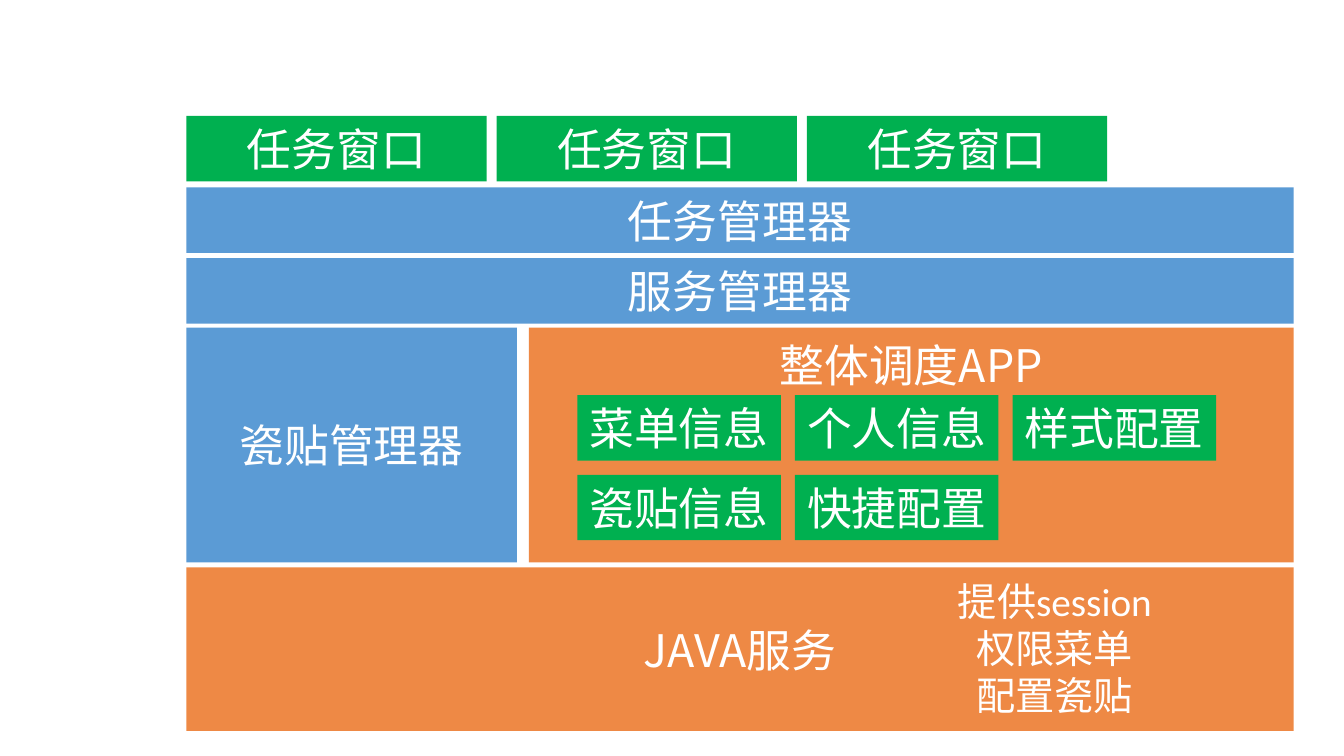
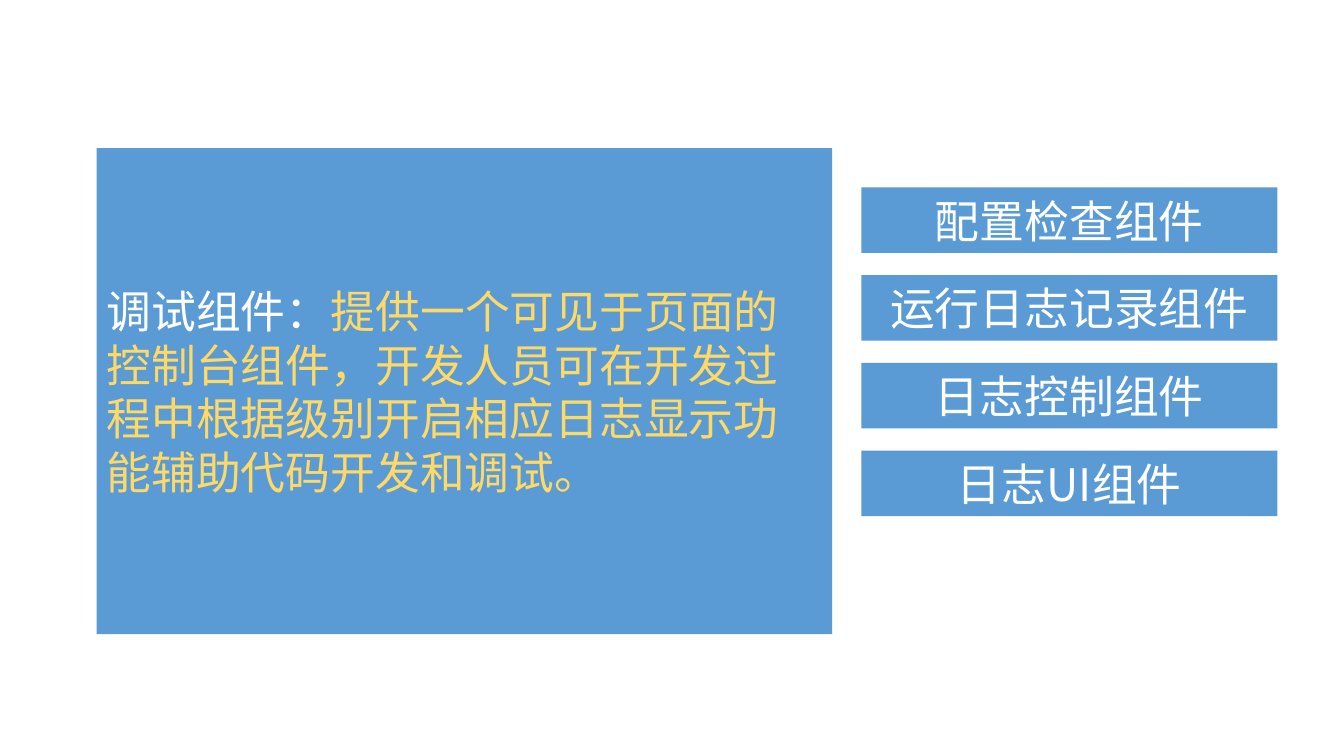
from lxml.etree import SubElement
from pptx import Presentation
from pptx.dml.color import RGBColor
from pptx.enum.shapes import MSO_SHAPE
from pptx.enum.text import MSO_ANCHOR, PP_ALIGN
from pptx.oxml.ns import qn
from pptx.util import Inches, Pt

# Shared style
BLUE, ORANGE, GREEN = "5B9BD5", "ED7D31", "00B050"
WHITE, YELLOW = "FFFFFF", "FFD966"
CJK_FONT, LATIN_FONT = "Noto Sans CJK SC", "Calibri"
BAR_HEIGHT = 0.65


def paint(color_format, hex_color):
    color_format.rgb = RGBColor.from_string(hex_color)


def add_run(paragraph, text, color=WHITE, size=32, latin=CJK_FONT):
    run = paragraph.add_run()
    run.text = text
    run.font.size = Pt(size)
    run.font.name = latin
    paint(run.font.color, color)
    # East Asian characters take their own typeface
    SubElement(run.font._element, qn("a:ea"), typeface=CJK_FONT)


def set_frame(frame, anchor, side=0.1, top=0.05):
    frame.word_wrap = True
    frame.vertical_anchor = anchor
    frame.margin_left = frame.margin_right = Inches(side)
    frame.margin_top = frame.margin_bottom = Inches(top)


def add_block(slide, box, color, runs, align=PP_ALIGN.CENTER,
              anchor=MSO_ANCHOR.MIDDLE, side=0.1, top=0.05, opacity=100):
    block = slide.shapes.add_shape(MSO_SHAPE.RECTANGLE, *map(Inches, box))
    block.shadow.inherit = False
    block.line.fill.background()
    block.fill.solid()
    paint(block.fill.fore_color, color)
    if opacity < 100:
        rgb = block._element.spPr.find(qn("a:solidFill"))[0]
        SubElement(rgb, qn("a:alpha"), val=str(opacity * 1000))
    set_frame(block.text_frame, anchor, side, top)
    paragraph = block.text_frame.paragraphs[0]
    paragraph.alignment = align
    for text, text_color in runs:
        add_run(paragraph, text, text_color)


def add_label(slide, box, color, text, **options):
    add_block(slide, box, color, [(text, WHITE)], **options)


def add_service_list(slide, box, lines):
    frame = slide.shapes.add_textbox(*map(Inches, box)).text_frame
    set_frame(frame, MSO_ANCHOR.TOP)
    for index, line in enumerate(lines):
        paragraph = frame.paragraphs[0] if index == 0 else frame.add_paragraph()
        paragraph.alignment = PP_ALIGN.CENTER
        add_run(paragraph, line, size=28, latin=LATIN_FONT)


def build_architecture(slide):
    left, width = 1.85, 10.99

    # Task windows above the full-width managers
    for column in range(3):
        add_label(slide, (left + column * 3.08, 1.15, 2.98, BAR_HEIGHT),
                  GREEN, "任务窗口", side=0.07)
    for row, manager in enumerate(("任务管理器", "服务管理器")):
        add_label(slide, (left, 1.86 + row * 0.7, width, BAR_HEIGHT),
                  BLUE, manager)

    # Tile manager beside the scheduling app
    add_label(slide, (left, 3.25, 3.28, 2.33), BLUE, "瓷贴管理器")
    add_label(slide, (5.25, 3.25, 7.59, 2.33), ORANGE, "整体调度APP",
              anchor=MSO_ANCHOR.TOP, top=0.1, opacity=90)
    modules_by_row = (("菜单信息", "个人信息", "样式配置"),
                      ("瓷贴信息", "快捷配置"))
    for row, names in enumerate(modules_by_row):
        for column, name in enumerate(names):
            box = (5.73 + column * 2.16, 3.92 + row * 0.79, 2.02, BAR_HEIGHT)
            add_label(slide, box, GREEN, name, side=0.07)

    # Service layer
    add_label(slide, (left, 5.63, width, 1.62), ORANGE, "JAVA服务", opacity=90)
    add_service_list(slide, (8.4, 5.68, 4.14, 1.5),
                     ("提供session", "权限菜单", "配置瓷贴"))


def build_debugging(slide):
    # Description panel
    description = [
        ("调试组件：", WHITE),
        ("提供一个可见于页面的控制台组件，开发人员可在开发过程中"
         "根据级别开启相应日志显示功能辅助代码开发和调试。", YELLOW),
    ]
    add_block(slide, (0.96, 1.47, 7.3, 4.82), BLUE, description,
              align=PP_ALIGN.LEFT)

    # Component list
    components = ("配置检查组件", "运行日志记录组件", "日志控制组件", "日志UI组件")
    for row, component in enumerate(components):
        add_label(slide, (8.55, 1.86 + row * 0.87, 4.13, BAR_HEIGHT),
                  BLUE, component)


def main():
    deck = Presentation()
    deck.slide_width, deck.slide_height = Inches(13.34), Inches(7.5)
    blank = deck.slide_layouts[6]
    for build in (build_architecture, build_debugging):
        build(deck.slides.add_slide(blank))
    deck.save("out.pptx")


if __name__ == "__main__":
    main()
